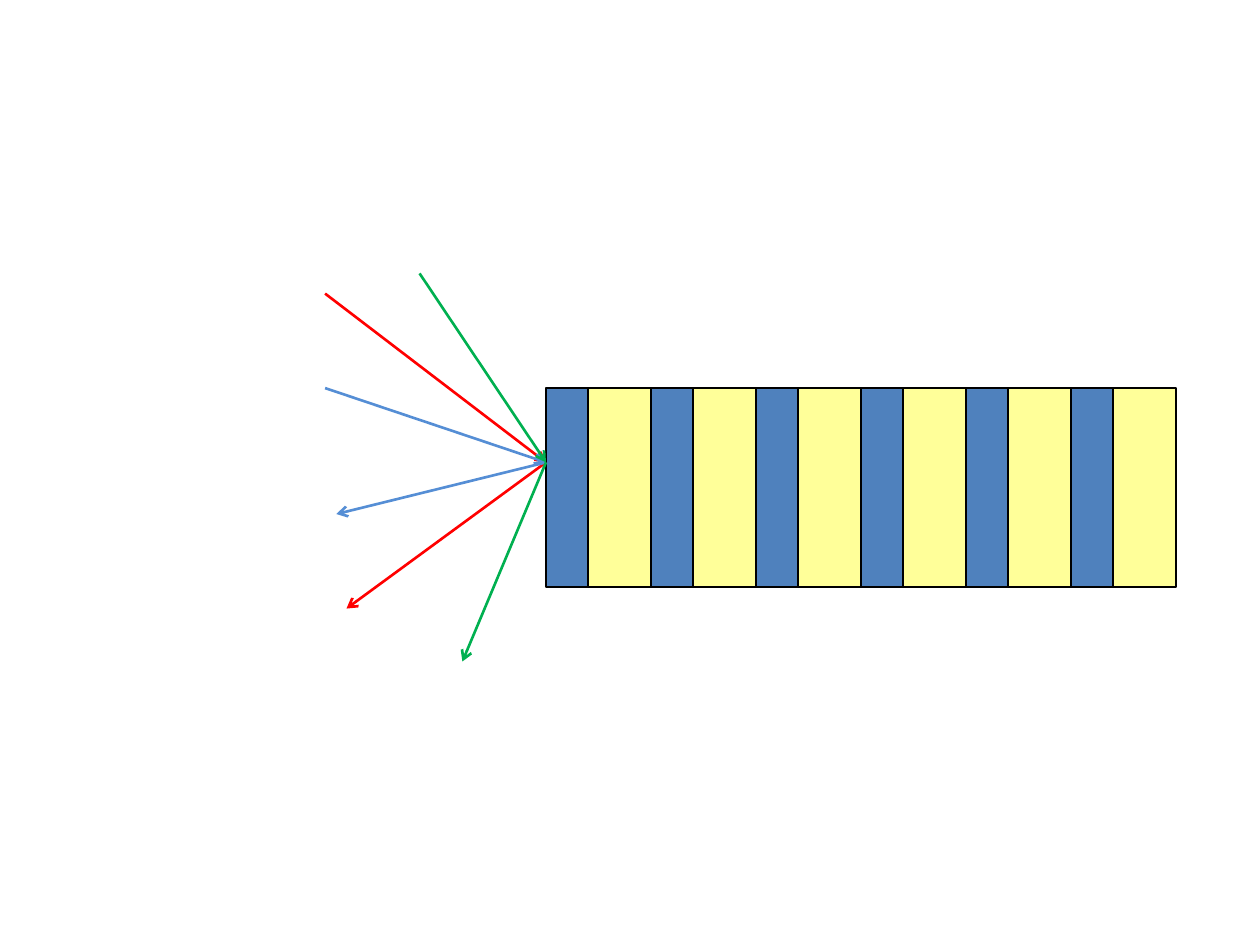
from typing import NamedTuple

from lxml import etree
from pptx import Presentation
from pptx import util as u
from pptx.dml.color import RGBColor
from pptx.enum import shapes
from pptx.oxml.ns import qn

COLORS = {
    "thin_layer": "4F81BD",
    "thick_layer": "FFFF99",
    "outline": "000000",
    "red": "FF0000",
    "blue": "558ED5",
    "green": "00B050",
}


class Point(NamedTuple):
    x: float
    y: float


class Layer(NamedTuple):
    color: str
    width: float


class Ray(NamedTuple):
    color: str
    source: Point
    exit: Point


# Stack of alternating layers
PAIR_COUNT = 6
STACK_LEFT, STACK_TOP, STACK_HEIGHT = 4 + 1 / 3, 3.08, 1.58
LAYER_PAIR = [Layer("thin_layer", 1 / 3), Layer("thick_layer", 0.5)]

# Rays that all meet at one point on the stack's front face
HIT = Point(STACK_LEFT, 3.67)
RAYS = [
    Ray("red", Point(2.58, 2.33), Point(2.75, 4.83)),
    Ray("blue", Point(2.58, 3.08), Point(2.67, 4.08)),
    Ray("green", Point(3.33, 2.17), Point(3.67, 5.25)),
]


def rgb(name: str) -> RGBColor:
    return RGBColor.from_string(COLORS[name])


def draw_layer(stack, layer: Layer, left: float) -> None:
    block = stack.shapes.add_shape(
        shapes.MSO_SHAPE.RECTANGLE, u.Inches(left), u.Inches(STACK_TOP),
        u.Inches(layer.width), u.Inches(STACK_HEIGHT))
    block.shadow.inherit = False
    block.fill.solid()
    block.fill.fore_color.rgb = rgb(layer.color)
    block.line.color.rgb = rgb("outline")
    block.line.width = u.Pt(0.75)


def draw_arrow(slide, start: Point, end: Point, color: str) -> None:
    arrow = slide.shapes.add_connector(
        shapes.MSO_CONNECTOR.STRAIGHT, u.Inches(start.x), u.Inches(start.y),
        u.Inches(end.x), u.Inches(end.y))
    arrow.line.color.rgb = rgb(color)
    arrow.line.width = u.Pt(1.5)
    # Open arrowhead at the end, no shadow
    etree.SubElement(arrow.line._get_or_add_ln(), qn("a:tailEnd"), type="arrow")
    etree.SubElement(arrow._element.spPr, qn("a:effectLst"))


def main() -> None:
    deck = Presentation()
    deck.slide_width, deck.slide_height = u.Inches(10), u.Inches(7.5)
    slide = deck.slides.add_slide(deck.slide_layouts[6])

    # Layer stack, from the front face to the right
    stack = slide.shapes.add_group_shape()
    left = STACK_LEFT
    for layer in LAYER_PAIR * PAIR_COUNT:
        draw_layer(stack, layer, left)
        left += layer.width

    # Incoming and reflected rays
    for ray in RAYS:
        draw_arrow(slide, ray.source, HIT, ray.color)
        draw_arrow(slide, HIT, ray.exit, ray.color)

    deck.save("out.pptx")


if __name__ == "__main__":
    main()
